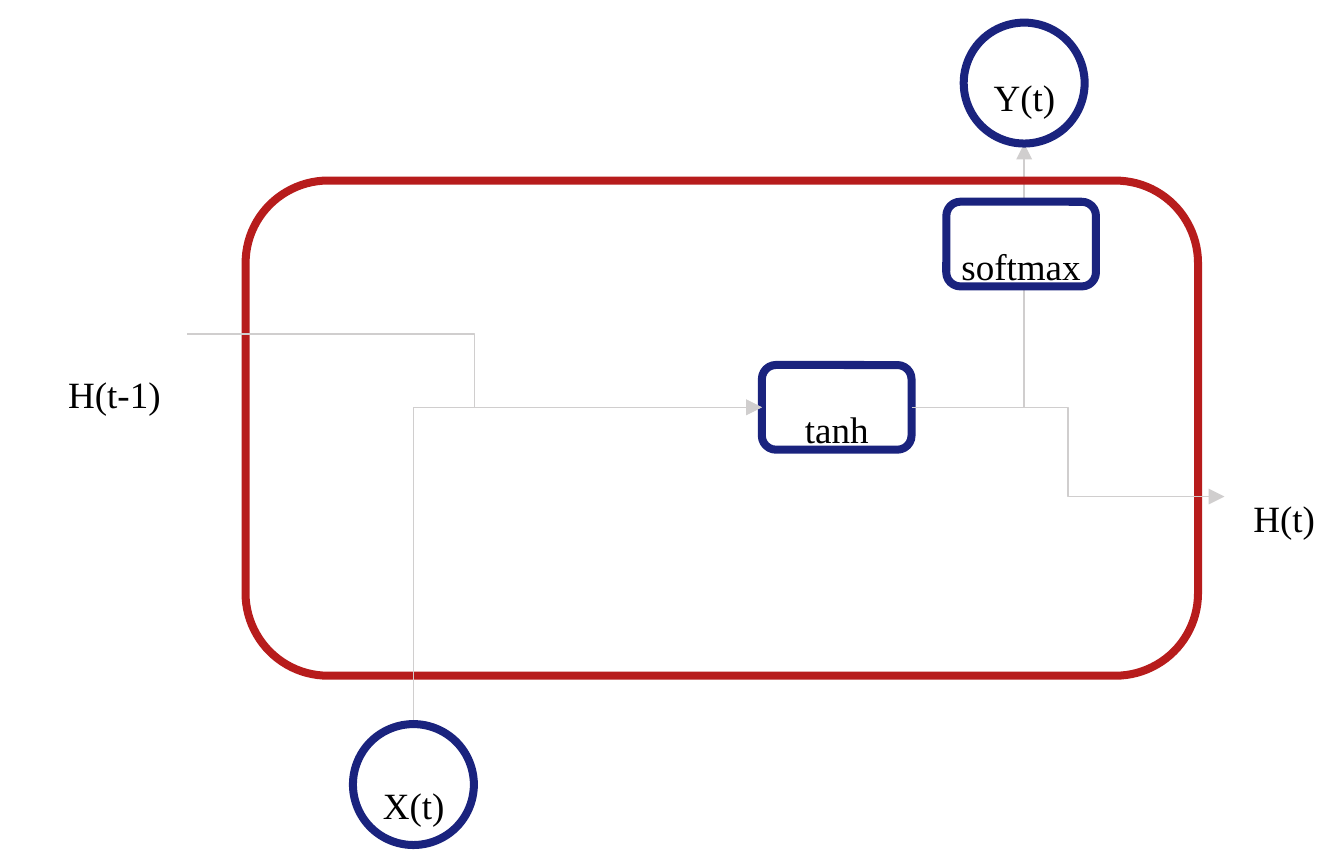
from collections import namedtuple
from dataclasses import dataclass
from lxml.etree import SubElement
from pptx import Presentation
from pptx.dml.color import RGBColor
from pptx.enum.shapes import MSO_CONNECTOR, MSO_SHAPE
from pptx.enum.text import MSO_AUTO_SIZE, PP_ALIGN
from pptx.oxml.ns import qn
from pptx.util import Cm, Pt


@dataclass(frozen=True)
class Theme:
    cell: RGBColor = RGBColor(0xB7, 0x1C, 0x1C)
    unit: RGBColor = RGBColor(0x1A, 0x23, 0x7E)
    flow: RGBColor = RGBColor(0xD0, 0xCE, 0xCE)
    paper: RGBColor = RGBColor(0xFF, 0xFF, 0xFF)
    ink: RGBColor = RGBColor(0, 0, 0)
    font: str = "Times New Roman"
    label_size: Pt = Pt(24)
    outline_width: Pt = Pt(3)
    flow_width: Pt = Pt(0.5)


THEME = Theme()
SUBSCRIPT = "-25000"


class Box(namedtuple("Box", "left top width height")):
    def inner(self, dx, dy, width, height):
        return Box(self.left + dx, self.top + dy, width, height)

    @property
    def middle(self):
        return self.top + self.height / 2

    @property
    def center(self):
        return self.left + self.width / 2

    @property
    def right(self):
        return self.left + self.width

    @property
    def bottom(self):
        return self.top + self.height

    def lengths(self):
        return [Cm(value) for value in self]


def add_outline(shapes, preset, box, color, fill=None):
    outline = shapes.add_shape(preset, *box.lengths())
    outline.shadow.inherit = False
    if fill is None:
        outline.fill.background()
    else:
        outline.fill.solid()
        outline.fill.fore_color.rgb = fill
    outline.line.color.rgb = color
    outline.line.width = THEME.outline_width


def add_label(shapes, box, wording, spacing=None):
    frame = shapes.add_textbox(*box.lengths()).text_frame
    frame.word_wrap = True
    frame.auto_size = MSO_AUTO_SIZE.SHAPE_TO_FIT_TEXT
    frame.text = wording
    line = frame.paragraphs[0]
    line.alignment = PP_ALIGN.CENTER
    if spacing:
        line.line_spacing = spacing
    font = line.runs[0].font
    font.name = THEME.font
    font.size = THEME.label_size
    font.color.rgb = THEME.ink
    font._element.set("baseline", SUBSCRIPT)


def add_flow(shapes, start, end, single_bend=False, upright=False):
    (x1, y1), (x2, y2) = start, end
    if upright:
        cx, cy = (x1 + x2) / 2, (y1 + y2) / 2
        half_run, half_rise = (x2 - x1) / 2, (y1 - y2) / 2
        x1, y1 = cx + half_rise, cy + half_run
        x2, y2 = cx - half_rise, cy - half_run
    flow = shapes.add_connector(MSO_CONNECTOR.ELBOW, Cm(x1), Cm(y1), Cm(x2), Cm(y2))
    flow.line.color.rgb = THEME.flow
    flow.line.width = THEME.flow_width
    properties = flow._element.spPr
    if single_bend:
        properties.find(qn("a:prstGeom")).set("prst", "bentConnector2")
    if upright:
        properties.find(qn("a:xfrm")).set("rot", "5400000")
    SubElement(properties.find(qn("a:ln")), qn("a:tailEnd"), type="triangle")
    SubElement(properties, qn("a:effectLst"))


def add_gate(shapes, box, wording, fill=None):
    add_outline(shapes, MSO_SHAPE.ROUNDED_RECTANGLE, box, THEME.unit, fill)
    add_label(shapes, box.inner(-0.37, -0.14, 2.72, 0.94), wording)


def add_node(shapes, box, wording, label_drop):
    add_label(shapes, box.inner(-0.16, label_drop, 1.93, 0.64), wording, 0.5)
    add_outline(shapes, MSO_SHAPE.OVAL, box, THEME.unit)


def add_recurrent_cell(slide, area):
    shapes = slide.shapes
    cell = area.inner(3.25, 2.39, 12.6, 6.55)
    tanh = area.inner(10.08, 4.83, 1.98, 1.12)
    softmax = area.inner(12.52, 2.67, 1.98, 1.12)
    x_node = area.inner(4.67, 9.58, 1.6, 1.6)
    y_node = area.inner(12.75, 0.3, 1.6, 1.6)
    previous_state = area.inner(0.55, 4.22, 1.93, 0.4)
    next_state = area.inner(16.2, 6.25, 1.58, 0.64)
    tanh_in = (tanh.left, tanh.middle)
    tanh_out = (tanh.right, tanh.middle)

    add_flow(shapes, tanh_out, (y_node.center, y_node.bottom), single_bend=True)
    add_gate(shapes, softmax, "softmax", THEME.paper)
    add_outline(shapes, MSO_SHAPE.ROUNDED_RECTANGLE, cell, THEME.cell)
    add_gate(shapes.add_group_shape().shapes, tanh, "tanh")
    add_label(shapes, next_state, "H(t)", 0.5)
    add_label(shapes, previous_state, "H(t-1)")
    add_flow(shapes, (x_node.center, x_node.top), tanh_in, single_bend=True, upright=True)
    add_flow(shapes, (previous_state.right, previous_state.middle), tanh_in)
    add_flow(shapes, tanh_out, (next_state.left, next_state.middle))
    add_node(shapes, x_node, "X(t)", 0.46)
    add_node(shapes, y_node, "Y(t)", 0.38)


deck = Presentation()
deck.slide_width, deck.slide_height = Cm(17.78), Cm(11.43)
slide = deck.slides.add_slide(deck.slide_layouts[6])
slide.background.fill.solid()
slide.background.fill.fore_color.rgb = THEME.paper
add_recurrent_cell(slide, Box(0, 0, 17.78, 11.43))
deck.save("out.pptx")
